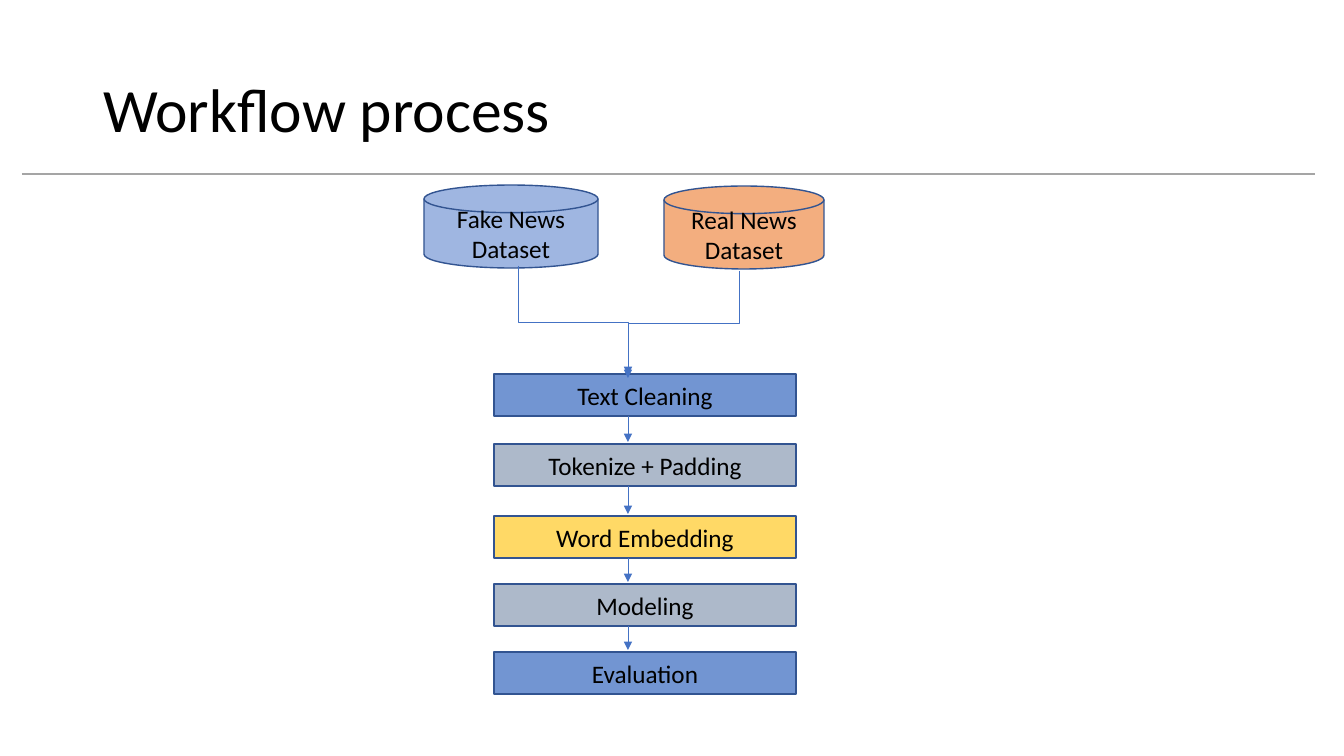
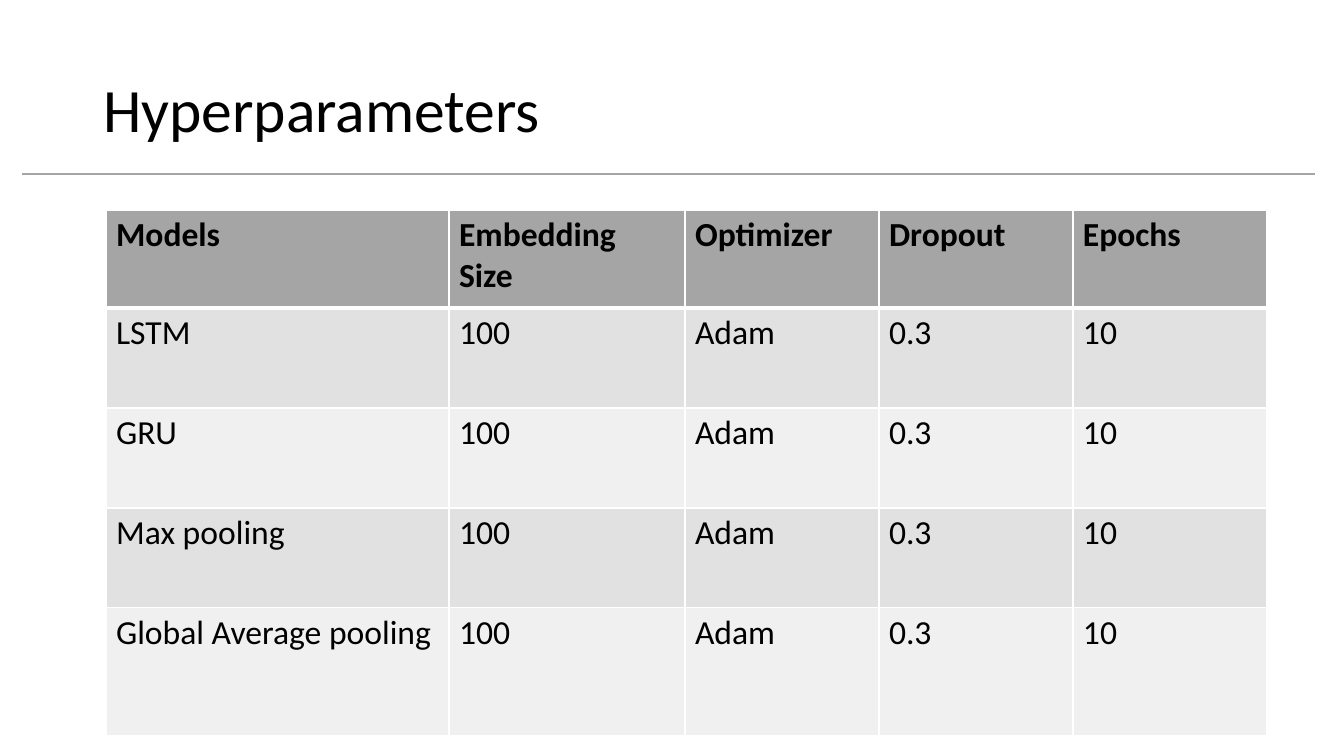
from lxml import etree
from pptx import Presentation
from pptx import util as u
from pptx.dml.color import RGBColor
from pptx.enum import shapes, text
from pptx.oxml.ns import qn

BLACK = RGBColor(0x00, 0x00, 0x00)
WHITE = RGBColor(0xFF, 0xFF, 0xFF)
GRAY = RGBColor(0xA5, 0xA5, 0xA5)
BAND_DARK = RGBColor(0xE1, 0xE1, 0xE1)
BAND_LIGHT = RGBColor(0xF0, 0xF0, 0xF0)
OUTLINE = RGBColor(0x32, 0x54, 0x91)
BLUE = RGBColor(0x44, 0x72, 0xC4)
LIGHT_BLUE = RGBColor(0x8F, 0xAA, 0xDC)
ORANGE = RGBColor(0xED, 0x7D, 0x31)
SLATE = RGBColor(0xAD, 0xB9, 0xCA)
YELLOW = RGBColor(0xFF, 0xD9, 0x66)
FONT = "Calibri"

DATASETS = [
    ("Fake News Dataset", (424, 185, 174, 83), LIGHT_BLUE, 85),
    ("Real News Dataset", (664, 186, 160, 83), ORANGE, 62),
]
STEPS = [
    ("Text Cleaning", 374, BLUE, 75),
    ("Tokenize + Padding", 444, SLATE, 100),
    ("Word Embedding", 516, YELLOW, 100),
    ("Modeling", 584, SLATE, 100),
    ("Evaluation", 652, BLUE, 75),
]
STEP_LEFT, STEP_W, STEP_H = 494, 302, 42
FLOW_X = 628
MERGES = [(739, 271, 375), (518, 266, 378)]

HEADER = ["Models", "Embedding Size", "Optimizer", "Dropout", "Epochs"]
MODELS = ["LSTM", "GRU", "Max pooling", "Global Average pooling"]
SETTINGS = ["100", "Adam", "0.3", "10"]
TABLE_LEFT, TABLE_TOP = 106, 210
COL_W = [343, 236, 194, 194, 194]
ROW_H = [98, 100, 100, 100, 128]


def px(n):
    return u.Emu(round(n * 914400 / 100.8))


def add_run(p, words, size, bold=False):
    r = p.add_run()
    r.text = words
    r.font.name = FONT
    r.font.size = u.Pt(size)
    r.font.bold = bold
    r.font.color.rgb = BLACK


def add_line(s, kind, start, end, color, width, arrow=False):
    c = s.shapes.add_connector(kind, *map(px, (*start, *end)))
    c.line.color.rgb = color
    c.line.width = u.Pt(width)
    if arrow:
        etree.SubElement(c.line._get_or_add_ln(), qn("a:tailEnd"), type="triangle")
    etree.SubElement(c._element.spPr, qn("a:effectLst"))
    return c


def add_merge(s, x, top, bottom):
    dx, dy = abs(x - FLOW_X), bottom - top
    cx, cy = (x + FLOW_X) / 2, (top + bottom) / 2
    side = 1 if x > FLOW_X else -1
    c = add_line(s, shapes.MSO_CONNECTOR.ELBOW,
                 (cx - side * dy / 2, cy - dx / 2),
                 (cx + side * dy / 2, cy + dx / 2), BLUE, 0.5, True)
    degrees = 90 if side > 0 else 270
    c._element.spPr.find(qn("a:xfrm")).set("rot", str(degrees * 60000))


def add_node(s, kind, box, words, color, opacity):
    sp = s.shapes.add_shape(kind, *map(px, box))
    sp.shadow.inherit = False
    sp.fill.solid()
    sp.fill.fore_color.rgb = color
    if opacity < 100:
        clr = sp._element.spPr.find(qn("a:solidFill"))[0]
        etree.SubElement(clr, qn("a:alpha"), val=str(opacity * 1000))
    sp.line.color.rgb = OUTLINE
    sp.line.width = u.Pt(1)
    tf = sp.text_frame
    tf.word_wrap = True
    tf.vertical_anchor = text.MSO_ANCHOR.MIDDLE
    p = tf.paragraphs[0]
    p.alignment = text.PP_ALIGN.CENTER
    add_run(p, words, 18)


def set_border(cell, side, width):
    ln = etree.SubElement(cell._tc.get_or_add_tcPr(), qn("a:ln" + side),
                          w=str(u.Pt(width)))
    fill = etree.SubElement(ln, qn("a:solidFill"))
    etree.SubElement(fill, qn("a:srgbClr"), val=str(WHITE))


def add_slide(prs, title):
    s = prs.slides.add_slide(prs.slide_layouts[5])
    sp = s.shapes.title
    sp.left, sp.top, sp.width, sp.height = map(px, (93, 40, 1159, 146))
    tf = sp.text_frame
    tf.word_wrap = True
    tf.auto_size = text.MSO_AUTO_SIZE.NONE
    tf.vertical_anchor = text.MSO_ANCHOR.MIDDLE
    p = tf.paragraphs[0]
    p.alignment = text.PP_ALIGN.LEFT
    p.line_spacing = 0.9
    add_run(p, title, 44)
    add_line(s, shapes.MSO_CONNECTOR.STRAIGHT, (22, 174), (1315, 174), GRAY, 1.5)
    return s


def build_workflow(prs):
    s = add_slide(prs, "Workflow process")
    for words, box, color, opacity in DATASETS:
        add_node(s, shapes.MSO_SHAPE.FLOWCHART_MAGNETIC_DISK, box, words, color, opacity)
    for words, top, color, opacity in STEPS:
        add_node(s, shapes.MSO_SHAPE.RECTANGLE, (STEP_LEFT, top, STEP_W, STEP_H),
                 words, color, opacity)
    for step, following in zip(STEPS, STEPS[1:]):
        add_line(s, shapes.MSO_CONNECTOR.STRAIGHT, (FLOW_X, step[1] + STEP_H),
                 (FLOW_X, following[1] - 2), BLUE, 0.5, True)
    for merge in MERGES:
        add_merge(s, *merge)


def build_hyperparameters(prs):
    s = add_slide(prs, "Hyperparameters")
    rows = [HEADER] + [[model] + SETTINGS for model in MODELS]
    table = s.shapes.add_table(len(rows), len(HEADER), px(TABLE_LEFT), px(TABLE_TOP),
                               px(sum(COL_W)), px(sum(ROW_H))).table
    for col, width in zip(table.columns, COL_W):
        col.width = px(width)
    for i, (row, height) in enumerate(zip(rows, ROW_H)):
        table.rows[i].height = px(height)
        fill = GRAY if i == 0 else BAND_DARK if i % 2 else BAND_LIGHT
        for j, words in enumerate(row):
            cell = table.cell(i, j)
            for side in "LRTB":
                heavy = (i, side) in ((0, "B"), (1, "T"))
                set_border(cell, side, 3 if heavy else 1)
            cell.fill.solid()
            cell.fill.fore_color.rgb = fill
            add_run(cell.text_frame.paragraphs[0], words, 24, i == 0)


prs = Presentation()
prs.slide_width, prs.slide_height = px(1344), px(756)
build_workflow(prs)
build_hyperparameters(prs)
prs.save("out.pptx")
